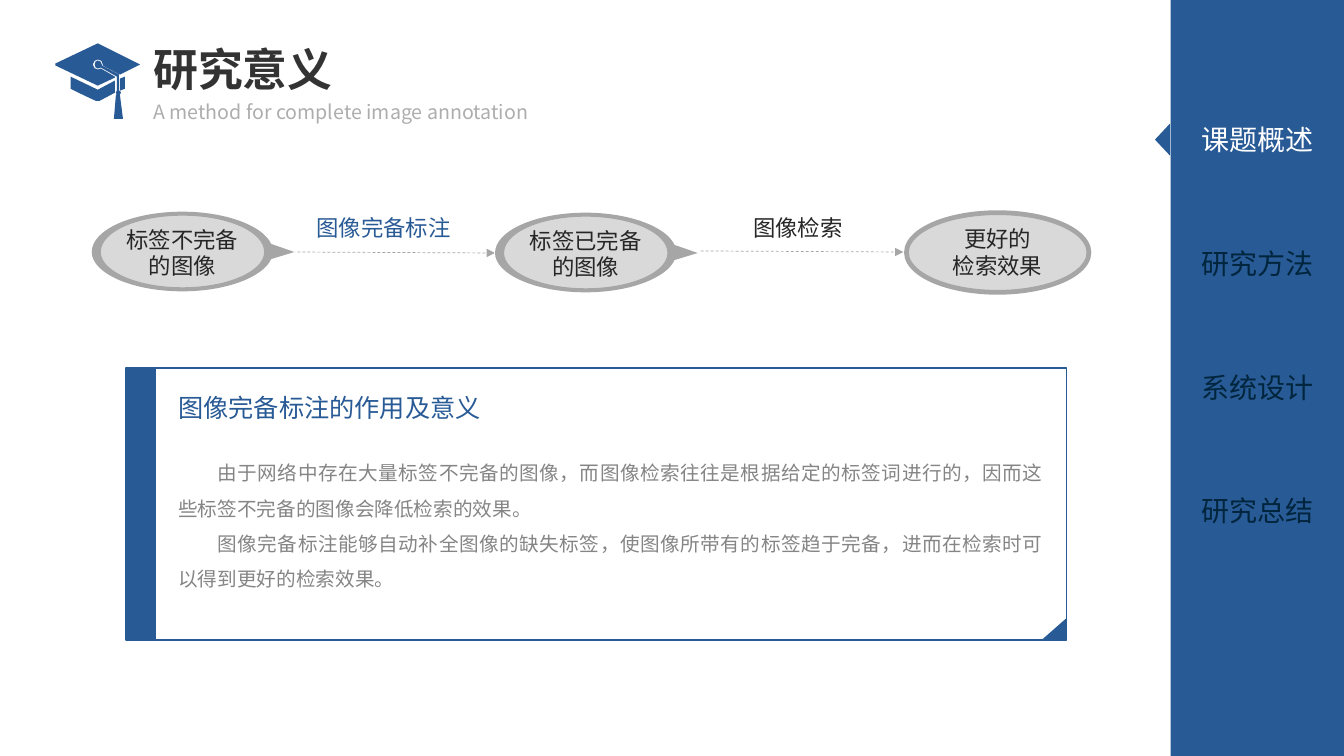
from lxml.etree import SubElement
from pptx import Presentation
from pptx.dml.color import RGBColor as RGB
from pptx.enum.dml import MSO_LINE as DASH
from pptx.enum.shapes import MSO_CONNECTOR as CONN, MSO_SHAPE as SHAPE
from pptx.enum.text import MSO_ANCHOR as ANCHOR, PP_ALIGN as ALIGN
from pptx.oxml.ns import qn
from pptx.util import Inches, Pt

FONT = "Noto Sans CJK SC"
COLORS = {
    "blue": "285A96",
    "navy": "00253C",
    "white": "FFFFFF",
    "title": "333333",
    "dark": "262626",
    "body": "858585",
    "sub": "ADADAD",
    "ring": "A6A6A6",
    "pale": "D9D9D9",
}


def color(name):
    return RGB.from_string(COLORS[name])


def write(frame, text, size=16, ink="dark", bold=False, align=ALIGN.LEFT,
          anchor=ANCHOR.TOP, space=None, indent=0):
    frame.word_wrap = True
    frame.vertical_anchor = anchor
    frame.text = text
    for para in frame.paragraphs:
        para.alignment = align
        para.line_spacing = space
        if indent:
            para._p.get_or_add_pPr().set("indent", str(Inches(indent)))
        for run in para.runs:
            font = run.font
            font.size, font.bold, font.name = Pt(size), bold, FONT
            font.color.rgb = color(ink)
            SubElement(run._r.get_or_add_rPr(), qn("a:ea"), typeface=FONT)


def label(slide, box, text, **style):
    area = slide.shapes.add_textbox(*map(Inches, box))
    write(area.text_frame, text, **style)


def paint(shape, fill=None, line=None, width=1):
    shape.shadow.inherit = False
    if fill:
        shape.fill.solid()
        shape.fill.fore_color.rgb = color(fill)
    else:
        shape.fill.background()
    if line:
        shape.line.color.rgb = color(line)
        shape.line.width = Pt(width)
    else:
        shape.line.fill.background()


def block(slide, kind, box, **style):
    shape = slide.shapes.add_shape(kind, *map(Inches, box))
    paint(shape, **style)
    return shape


def outline(slide, loops, x=0, y=0, **style):
    def place(step):
        return [(Inches(x + a), Inches(y + b))
                for a, b in zip(step[::2], step[1::2])]

    pen = slide.shapes.build_freeform(*place(loops[0][0])[0], scale=1.0)
    steps = []
    for i, (start, *rest) in enumerate(loops):
        if i:
            pen.move_to(*place(start)[0])
        pen.add_line_segments([p for step in rest for p in place(step)],
                              close=True)
        steps += rest
    shape = pen.convert_to_shape()
    nodes = iter(list(shape._element.iter(qn("a:lnTo"))))
    for step in steps:
        node = next(nodes)
        if len(step) == 6:
            node.tag = qn("a:cubicBezTo")
            for extra in (next(nodes), next(nodes)):
                node.append(extra[0])
                extra.getparent().remove(extra)
    paint(shape, **style)


def cap(slide):
    brim = [(1.19, 0.9), (1.24, 0.88), (1.24, 0.76), (1.19, 0.78)]
    base = [(0.7, 0.76), (0.7, 0.88), (0.78, 0.92, 0.86, 0.96, 0.95, 1),
            (0.96, 1, 0.98, 1, 0.99, 1), (1.14, 0.92), (1.14, 0.8),
            (0.97, 0.89)]
    cord = [(1.18, 0.75), (1.18, 0.74), (1.01, 0.65),
            (1.01, 0.65, 1.01, 0.65, 1.01, 0.64),
            (1.01, 0.62, 0.99, 0.6, 0.97, 0.6),
            (0.95, 0.6, 0.94, 0.62, 0.94, 0.64),
            (0.94, 0.66, 0.95, 0.68, 0.97, 0.68),
            (0.98, 0.68, 0.99, 0.68, 1, 0.67), (1.16, 0.76)]
    board = [(1.39, 0.64), (0.97, 0.43), (0.55, 0.63), (0.55, 0.65),
             (0.97, 0.85), (1.14, 0.77), (1.14, 0.76), (1, 0.68),
             (0.99, 0.69, 0.98, 0.69, 0.97, 0.69),
             (0.95, 0.69, 0.92, 0.67, 0.92, 0.64),
             (0.92, 0.61, 0.95, 0.59, 0.97, 0.59),
             (1, 0.59, 1.02, 0.61, 1.02, 0.64),
             (1.02, 0.64, 1.02, 0.65, 1.02, 0.65), (1.19, 0.74)]
    tassel = [(1.18, 0.75), (1.18, 0.9),
              (1.19, 0.9, 1.2, 0.91, 1.2, 0.92),
              (1.2, 0.93, 1.19, 0.94, 1.18, 0.94), (1.19, 0.94),
              (1.22, 1.18), (1.13, 1.18), (1.15, 0.94), (1.16, 0.94),
              (1.16, 0.94, 1.15, 0.93, 1.15, 0.92),
              (1.15, 0.91, 1.16, 0.9, 1.16, 0.9), (1.16, 0.76)]
    outline(slide, [brim, base, cord, board, tassel], fill="blue")


def arrow(slide, x, y, end_x, end_y):
    link = slide.shapes.add_connector(
        CONN.STRAIGHT, *map(Inches, (x, y, end_x, end_y)))
    link.line.color.rgb = color("ring")
    link.line.width = Pt(0.5)
    link.line.dash_style = DASH.DASH
    SubElement(link.line._get_or_add_ln(), qn("a:tailEnd"), type="triangle")
    SubElement(link._element.spPr, qn("a:effectLst"))


def bubble(slide, x, y, text):
    edge = [(1.78, 0.32), (1.7, 0.14, 1.33, 0, 0.9, 0),
            (0.4, 0, 0, 0.18, 0, 0.4), (0, 0.61, 0.4, 0.79, 0.9, 0.79),
            (1.33, 0.79, 1.7, 0.65, 1.78, 0.47), (2.01, 0.4)]
    hole = [(0.9, 0.75), (0.45, 0.75, 0.09, 0.59, 0.09, 0.4),
            (0.09, 0.2, 0.45, 0.04, 0.9, 0.04),
            (1.35, 0.04, 1.71, 0.2, 1.71, 0.4),
            (1.71, 0.59, 1.35, 0.75, 0.9, 0.75)]
    outline(slide, [edge], x, y, fill="pale", line="white", width=1.5)
    outline(slide, [edge, hole], x, y, fill="ring")
    label(slide, (x + 0.24, y + 0.09, 1.32, 0.64), text, align=ALIGN.CENTER)


def header(slide):
    cap(slide)
    label(slide, (1.42, 0.94, 4.2, 0.34),
          "A method for complete image annotation", size=14, ink="sub")
    title = slide.shapes.title
    title.left, title.top, title.width, title.height = map(
        Inches, (1.42, 0.34, 5.75, 0.75))
    write(title.text_frame, "研究意义", size=32, ink="title", bold=True,
          anchor=ANCHOR.MIDDLE, space=0.9)


def sidebar(slide):
    block(slide, SHAPE.RECTANGLE, (11.61, 0, 1.72, 7.5), fill="blue")
    mark = block(slide, SHAPE.ISOSCELES_TRIANGLE, (11.37, 1.31, 0.32, 0.15),
                 fill="blue")
    mark.rotation = 270
    for i, name in enumerate(("课题概述", "研究方法", "系统设计", "研究总结")):
        label(slide, (11.71, 1.17 + i * 3.68 / 3, 1.52, 0.44), name, size=20,
              ink="navy" if i else "white", align=ALIGN.CENTER)


def flow(slide):
    arrow(slide, 2.9, 2.5, 4.91, 2.51)
    bubble(slide, 0.91, 2.1, "标签不完备\n的图像")
    bubble(slide, 4.91, 2.11, "标签已完备\n的图像")
    goal = block(slide, SHAPE.OVAL, (8.99, 2.11, 1.81, 0.79), fill="pale",
                 line="ring", width=3.4)
    write(goal.text_frame, "更好的\n检索效果", align=ALIGN.CENTER,
          anchor=ANCHOR.MIDDLE)
    arrow(slide, 6.95, 2.49, 8.96, 2.5)
    for x, text, ink in ((2.99, "图像完备标注", "blue"),
                         (7.1, "图像检索", "dark")):
        label(slide, (x, 2.08, 1.63, 0.37), text, ink=ink,
              align=ALIGN.CENTER)


def panel(slide):
    block(slide, SHAPE.RECTANGLE, (1.25, 3.65, 0.29, 2.7), fill="blue",
          line="blue")
    label(slide, (1.67, 4.41, 8.77, 1.47),
          "由于网络中存在大量标签不完备的图像，而图像检索往往是根据给定的"
          "标签词进行的，因而这些标签不完备的图像会降低检索的效果。\n"
          "图像完备标注能够自动补全图像的缺失标签，使图像所带有的标签趋于"
          "完备，进而在检索时可以得到更好的检索效果。",
          size=14, ink="body", align=ALIGN.JUSTIFY, space=1.5, indent=0.39)
    label(slide, (1.67, 3.84, 3.21, 0.4), "图像完备标注的作用及意义",
          size=18, ink="blue")
    block(slide, SHAPE.RECTANGLE, (1.54, 3.65, 9.04, 2.7), line="blue")
    fold = block(slide, SHAPE.ISOSCELES_TRIANGLE, (10.33, 6.13, 0.25, 0.22),
                 fill="blue")
    fold.adjustments[0] = 1


def main():
    deck = Presentation()
    deck.slide_width, deck.slide_height = Inches(13.33), Inches(7.5)
    slide = deck.slides.add_slide(deck.slide_layouts[5])
    header(slide)
    sidebar(slide)
    flow(slide)
    panel(slide)
    deck.save("out.pptx")


if __name__ == "__main__":
    main()
